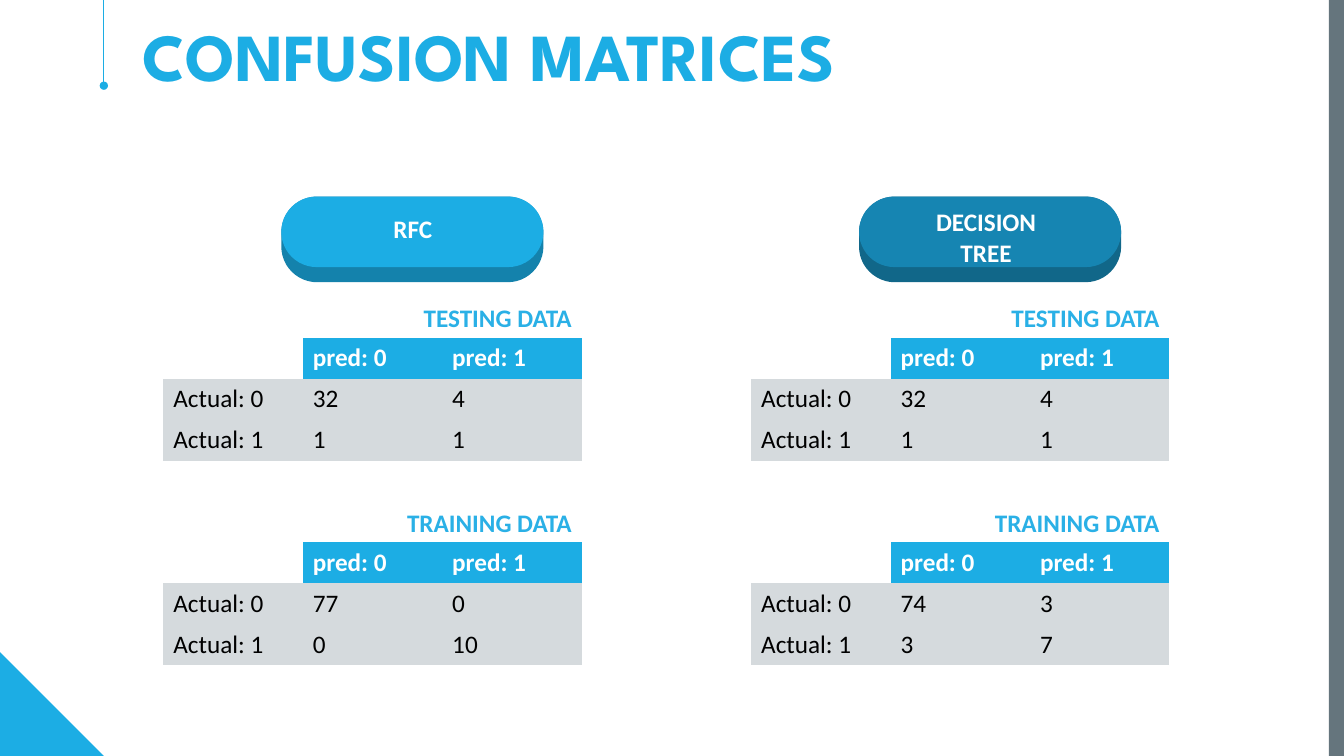
from lxml import etree
from pptx import Presentation
from pptx.dml.color import RGBColor
from pptx.enum import shapes, text
from pptx.oxml import ns
from pptx.util import Inches, Pt

BLUE = RGBColor(0x1C, 0xAD, 0xE4)
LABEL_BLUE = RGBColor(0x2A, 0xB0, 0xE6)
SLATE = RGBColor(0x65, 0x75, 0x7D)
GREY = RGBColor(0xD5, 0xDA, 0xDD)
WHITE = RGBColor(0xFF, 0xFF, 0xFF)
BLACK = RGBColor(0, 0, 0)
NO_GRID_STYLE = "{2D5ABB26-0587-4C30-8999-92F81FD0307C}"

TITLE = "CONFUSION MATRICES"
HEADER = ["", "pred: 0", "pred: 1"]
ROW_LABELS = ["Actual: 0", "Actual: 1"]
DATA_SETS = [("TESTING DATA", 3.35), ("TRAINING DATA", 5.38)]
MODELS = [
    {"name": ["RFC"], "name_box": (3.11, 2.12, 1.97, 0.3),
     "pill_left": 2.79, "table_left": 1.62,
     "base": RGBColor(0x14, 0x82, 0xAC), "top": BLUE,
     "counts": [[["32", "4"], ["1", "1"]], [["77", "0"], ["0", "10"]]]},
    {"name": ["DECISION", "TREE"], "name_box": (8.89, 2.05, 1.78, 0.61),
     "pill_left": 8.52, "table_left": 7.45,
     "base": RGBColor(0x11, 0x67, 0x89), "top": RGBColor(0x16, 0x85, 0xB2),
     "counts": [[["32", "4"], ["1", "1"]], [["74", "3"], ["3", "7"]]]},
]
PILL_TOP, PILL_W = 1.95, 2.6
COL_W, ROW_H = 1.383, 0.407
LABEL_W, LABEL_H = 2.78, 0.4


def set_font(p, color, size=18, bold=True, name="Calibri"):
    p.font.name, p.font.size, p.font.bold = name, Pt(size), bold
    p.font.color.rgb = color


def add_block(slide, kind, box, color):
    sp = slide.shapes.add_shape(kind, *map(Inches, box))
    sp.shadow.inherit = False
    sp.fill.solid()
    sp.fill.fore_color.rgb = color
    sp.line.fill.background()
    return sp


def add_text(slide, box, lines, color, align, inset=True, **font):
    tf = slide.shapes.add_textbox(*map(Inches, box)).text_frame
    tf.word_wrap = True
    tf.auto_size = text.MSO_AUTO_SIZE.SHAPE_TO_FIT_TEXT
    if not inset:
        tf.margin_left = tf.margin_right = tf.margin_top = tf.margin_bottom = 0
    tf.text = "\n".join(lines)
    for p in tf.paragraphs:
        p.alignment = align
        set_font(p, color, **font)
    return tf


def add_matrix(slide, left, top, counts):
    rows = [HEADER] + [[label] + row for label, row in zip(ROW_LABELS, counts)]
    n_rows, n_cols = len(rows), len(HEADER)
    table = slide.shapes.add_table(
        n_rows, n_cols, Inches(left), Inches(top),
        Inches(COL_W * n_cols), Inches(ROW_H * n_rows)).table
    table._tbl.tblPr.find(ns.qn("a:tableStyleId")).text = NO_GRID_STYLE
    for i, row in enumerate(rows):
        for j, value in enumerate(row):
            cell = table.cell(i, j)
            cell.text = value
            cell.fill.solid()
            head_fill = BLUE if value else WHITE
            cell.fill.fore_color.rgb = GREY if i else head_fill
            set_font(cell.text_frame.paragraphs[0],
                     BLACK if i else WHITE, bold=i == 0)


def add_pill(slide, model):
    for height, radius, color in [(0.85, 0.418, model["base"]),
                                  (0.7, 0.5, model["top"])]:
        sp = add_block(slide, shapes.MSO_SHAPE.ROUNDED_RECTANGLE,
                       (model["pill_left"], PILL_TOP, PILL_W, height), color)
        sp.adjustments[0] = radius
    add_text(slide, model["name_box"], model["name"], WHITE,
             text.PP_ALIGN.CENTER, inset=False)


def add_title(slide):
    tf = add_text(slide, (1.41, 0.23, 9.2, 0.73), [TITLE], BLUE,
                  text.PP_ALIGN.LEFT, inset=False, size=48, name="League Spartan")
    tf.paragraphs[0].line_spacing = 0.9
    line = slide.shapes.add_connector(
        shapes.MSO_CONNECTOR.STRAIGHT, Inches(1.03), 0, Inches(1.03), Inches(0.85))
    line.line.color.rgb = BLUE
    line.line.width = Pt(0.5)
    etree.SubElement(line.line._get_or_add_ln(), ns.qn("a:tailEnd"), type="oval")
    etree.SubElement(line._element.spPr, ns.qn("a:effectLst"))


def main():
    prs = Presentation()
    prs.slide_width, prs.slide_height = Inches(13.33), Inches(7.5)
    s = prs.slides.add_slide(prs.slide_layouts[6])
    add_block(s, shapes.MSO_SHAPE.RIGHT_TRIANGLE, (0, 6.47, 1.03, 1.03), BLUE)
    add_block(s, shapes.MSO_SHAPE.RECTANGLE, (13.18, 0, 0.15, 7.5), SLATE)
    for model in MODELS:
        left = model["table_left"]
        label_left = left + COL_W * len(HEADER) - LABEL_W
        for (label, top), counts in zip(DATA_SETS, model["counts"]):
            add_matrix(s, left, top, counts)
            add_text(s, (label_left, top - LABEL_H, LABEL_W, LABEL_H),
                     [label], LABEL_BLUE, text.PP_ALIGN.RIGHT)
        add_pill(s, model)
    add_title(s)
    prs.save("out.pptx")


if __name__ == "__main__":
    main()
